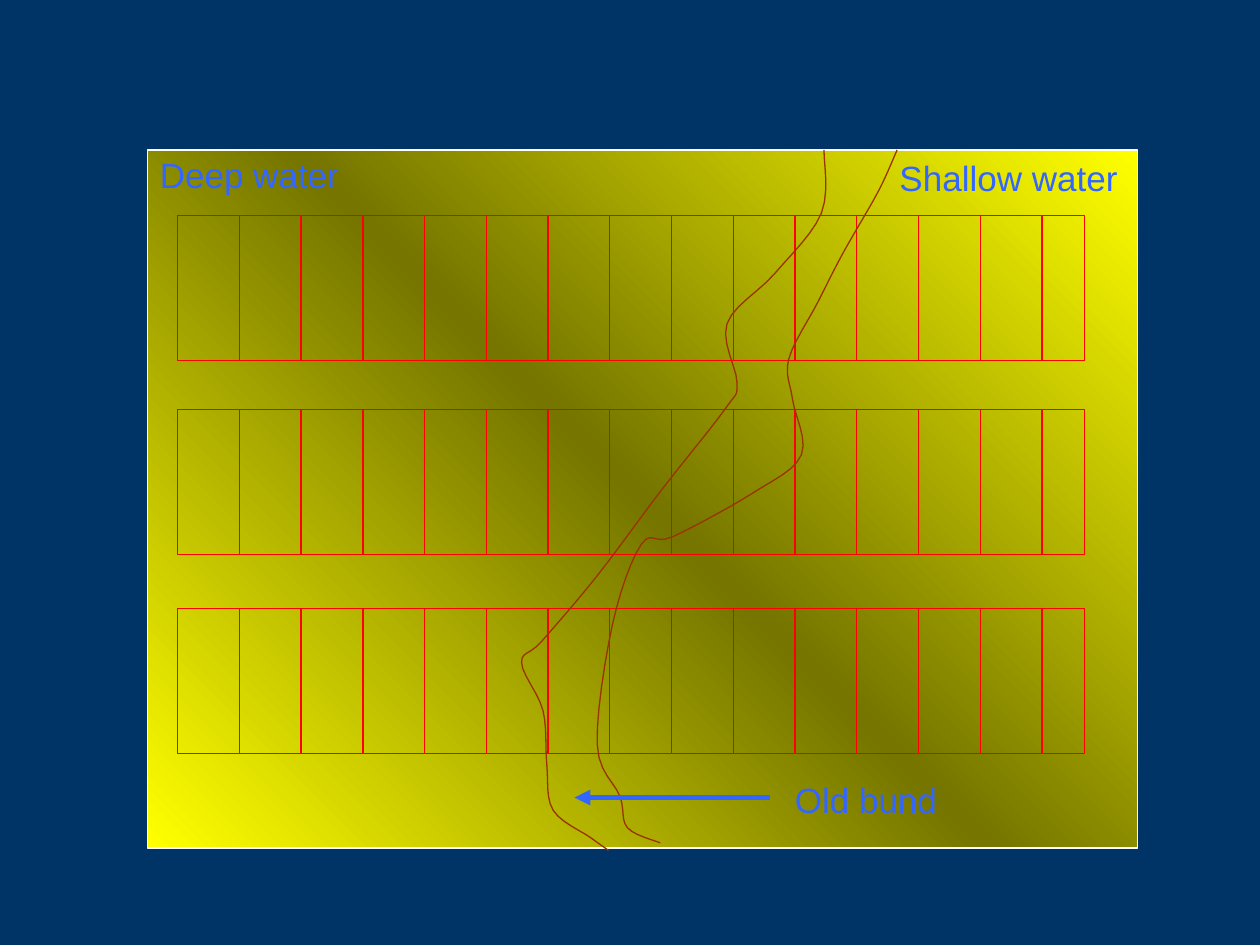
"""Build a slide that maps three rows of plots, the old bund and the water depth."""
from copy import deepcopy
from lxml.etree import SubElement
from pptx import Presentation
from pptx.dml.color import RGBColor
from pptx.enum.shapes import MSO_CONNECTOR as Link, MSO_SHAPE as Kind
from pptx.oxml.ns import qn
from pptx.util import Cm, Pt

NAVY = RGBColor.from_string("003366")
YELLOW = RGBColor.from_string("FFFF00")
OLIVE = RGBColor.from_string("757500")
WHITE = RGBColor.from_string("FFFFFF")
RED = RGBColor.from_string("FF0000")
BROWN = RGBColor.from_string("993300")
BLUE = RGBColor.from_string("3366FF")

FIELD = (1.17, 1.19, 7.86, 5.54)
LEFT, WIDE, HIGH, BARS = 1.41, 7.2, 1.15, 14
STEP = 0.49
ROWS = [1.71, 3.25, 4.83]
ARROW = (6.11, 6.33, 4.56, 6.33)
LABELS = [
    ("Old bund", 6.21, 6.13, 2.29),
    ("Deep water", 1.17, 1.17, 2.86),
    ("Shallow water", 7.04, 1.19, 2.05),
]
BANKS = [
    [(6.54, 1.19), (6.52, 1.69), (6.15, 2.17), (5.77, 2.57), (5.85, 3.04),
     (5.76, 3.24), (5.25, 3.89), (4.74, 4.57), (4.3, 5.09), (4.14, 5.26),
     (4.31, 5.64), (4.34, 6.07), (4.39, 6.43), (4.69, 6.65), (4.83, 6.75)],
    [(7.12, 1.19), (6.97, 1.52), (6.69, 2.01), (6.49, 2.4), (6.26, 2.85),
     (6.29, 3.17), (6.36, 3.61), (5.98, 3.91), (5.34, 4.26), (5.09, 4.32),
     (4.86, 4.96), (4.74, 5.91), (4.92, 6.32), (4.98, 6.57), (5.24, 6.69)],
]


def size(*nums):
    return [Cm(n * 2.54) for n in nums]


def edge(item, color, width=0.75):
    item.line.color.rgb = color
    item.line.width = Pt(width)


def box(shapes, color, *area):
    rect = shapes.add_shape(Kind.RECTANGLE, *size(*area))
    rect.shadow.inherit = False
    rect.fill.background()
    edge(rect, color)
    return rect


def line(shapes, color, width, *ends):
    link = shapes.add_connector(Link.STRAIGHT, *size(*ends))
    edge(link, color, width)
    SubElement(link.element.spPr, qn("a:effectLst"))
    return link


def shade(rect):
    rect.fill.gradient()
    rect.fill.gradient_angle = 225
    stops = rect.fill.gradient_stops
    for stop, color, place in zip(stops, (OLIVE, YELLOW), (0.5, 1)):
        stop.color.rgb = color
        stop.position = place
    group = rect.element.find(".//" + qn("a:gsLst"))
    group.insert(0, deepcopy(group[1]))
    rect.fill.gradient_stops[0].position = 0


def blend(a, b, c, d, t):
    return b + t / 2 * (c - a + t * (2 * a - 5 * b + 4 * c - d
                                     + t * (3 * (b - c) + d - a)))


def curve(knots, parts=6):
    full = [knots[0], *knots, knots[-1]]
    for quad in zip(full, full[1:], full[2:], full[3:]):
        for k in range(1, parts + 1):
            yield size(*(blend(*axis, k / parts) for axis in zip(*quad)))


def bank(shapes, knots):
    pen = shapes.build_freeform(*size(*knots[0]))
    pen.add_line_segments(list(curve(knots)), close=False)
    path = pen.convert_to_shape()
    path.shadow.inherit = False
    path.fill.background()
    edge(path, BROWN)


def label(shapes, words, left, top, width):
    frame = shapes.add_textbox(*size(left, top, width, 0.44)).text_frame
    frame.word_wrap = True
    run = frame.paragraphs[0].add_run()
    run.text = words
    run.font.name = "Arial"
    run.font.size = Pt(20)
    run.font.color.rgb = BLUE


def main():
    deck = Presentation()
    deck.slide_width, deck.slide_height = size(10, 7.5)
    slide = deck.slides.add_slide(deck.slide_layouts[6])
    slide.background.fill.solid()
    slide.background.fill.fore_color.rgb = NAVY
    shapes = slide.shapes
    shade(box(shapes, WHITE, *FIELD))
    for top in ROWS:
        box(shapes, RED, LEFT, top, WIDE, HIGH)
        for n in range(1, BARS + 1):
            x = LEFT + n * STEP
            line(shapes, RED, 0.75, x, top, x, top + HIGH)
    for knots in BANKS:
        bank(shapes, knots)
    arrow = line(shapes, BLUE, 3, *ARROW)
    SubElement(arrow.element.spPr.find(qn("a:ln")), qn("a:tailEnd"), type="triangle")
    for row in LABELS:
        label(shapes, *row)
    deck.save("out.pptx")


if __name__ == "__main__":
    main()
